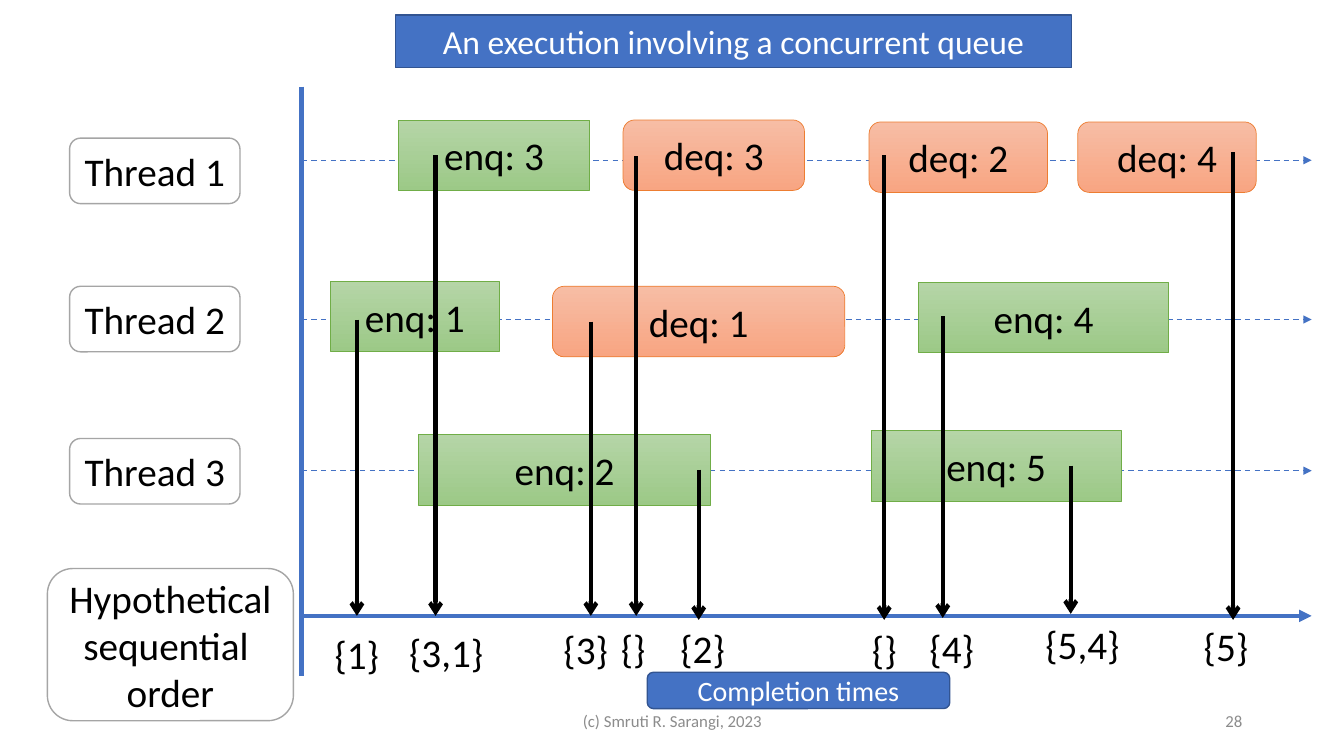
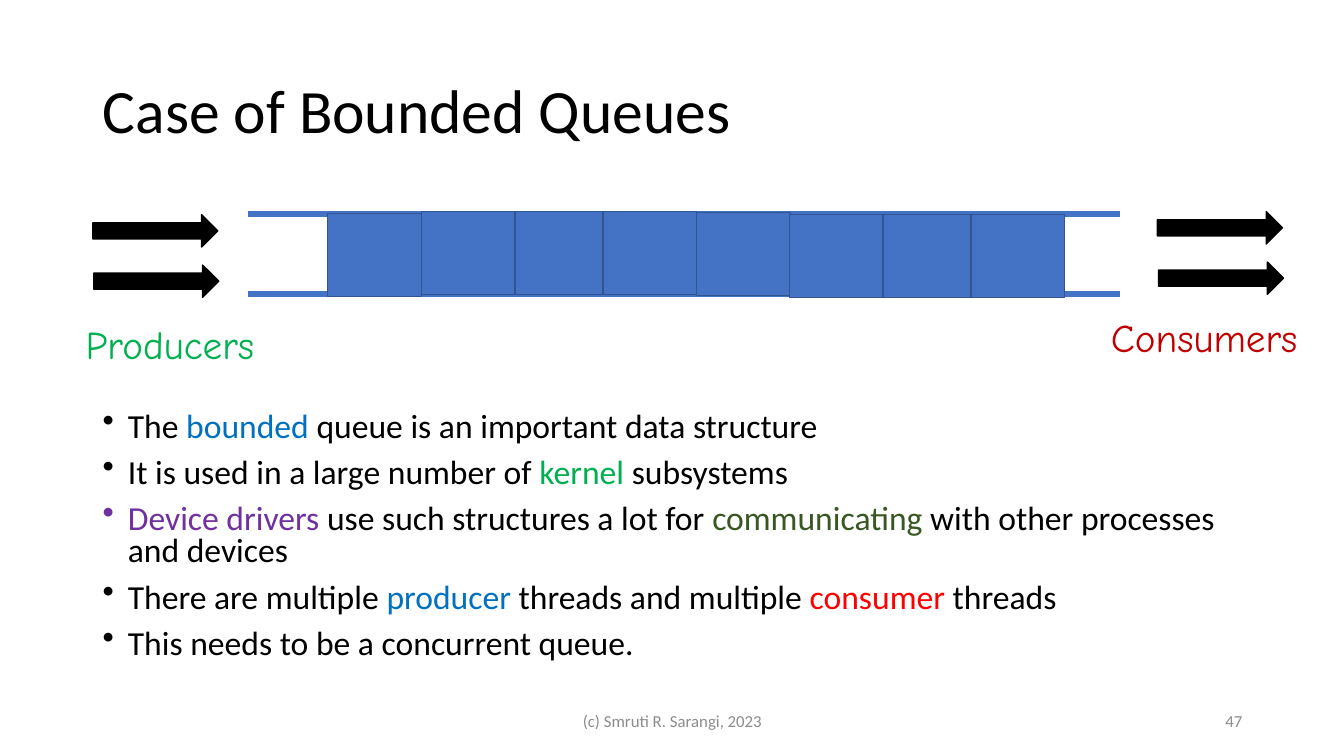
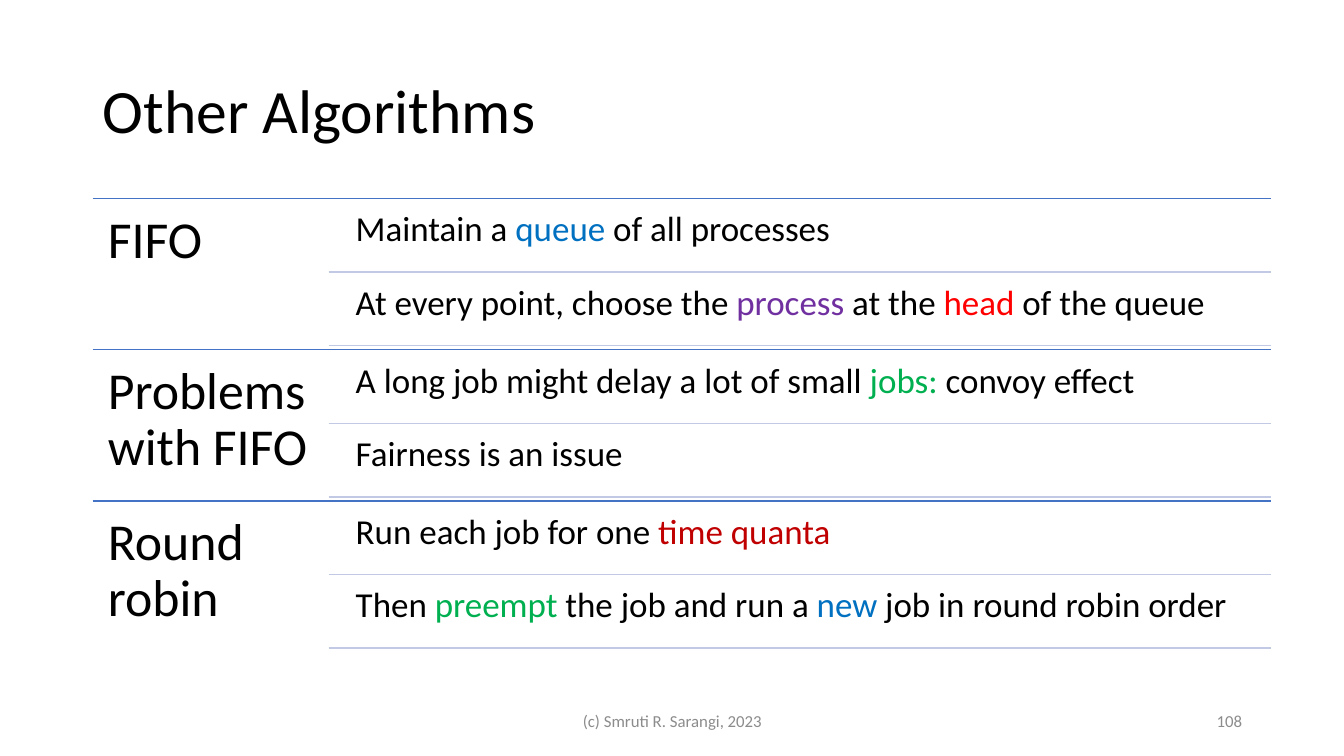
from lxml import etree
from pptx import Presentation
from pptx.dml.color import RGBColor
from pptx.enum.dml import MSO_LINE
from pptx.enum.shapes import MSO_CONNECTOR, MSO_SHAPE
from pptx.enum.text import MSO_ANCHOR, MSO_AUTO_SIZE, PP_ALIGN
from pptx.oxml.ns import qn
from pptx.util import Pt

PX = 9144
LEFT, CENTER, RIGHT = PP_ALIGN.LEFT, PP_ALIGN.CENTER, PP_ALIGN.RIGHT
TOP, MIDDLE = MSO_ANCHOR.TOP, MSO_ANCHOR.MIDDLE
RECT, ROUNDED = MSO_SHAPE.RECTANGLE, MSO_SHAPE.ROUNDED_RECTANGLE
ARROW = MSO_SHAPE.RIGHT_ARROW
STRAIGHT, DASH = MSO_CONNECTOR.STRAIGHT, MSO_LINE.DASH
FIXED = MSO_AUTO_SIZE.NONE
TITLE_ONLY = 5

BODY_FONT, HAND_FONT = "Calibri", "Comic Neue"
BLACK, WHITE, GREY, SILVER = "000000", "FFFFFF", "8C8C8C", "A5A5A5"
ACCENT, ACCENT_EDGE, PALE = "4472C4", "325491", "C1C9E4"
BLUE, GREEN, PURPLE = "0070C0", "00B050", "7030A0"
OLIVE, RED, DARK_RED = "385723", "FF0000", "C00000"
ENQUEUE = (RECT, "B5D5A7", "9CC987", "70AD47")
DEQUEUE = (ROUNDED, "F7BDA5", "F8A582", "ED7D31")
FOOTER = "(c) Smruti R. Sarangi, 2023"


def px(value):
    return round(value * PX)


def colour(hex_text):
    return RGBColor.from_string(hex_text)


def add_bullet(para, indent):
    properties = para._p.get_or_add_pPr()
    properties.set("marL", str(px(indent)))
    properties.set("indent", str(-px(indent)))
    etree.SubElement(properties, qn("a:buChar")).set("char", "•")


def write(box, paras, size, align=LEFT, anchor=TOP, font=BODY_FONT,
          spacing=None, before=0, bullet=0, inset=None, wrap=True):
    frame = box.text_frame
    frame.auto_size = FIXED
    frame.word_wrap = wrap
    frame.vertical_anchor = anchor
    if inset is not None:
        frame.margin_left = frame.margin_right = px(inset)
        frame.margin_top = frame.margin_bottom = px(inset)
    for index, spans in enumerate(paras):
        para = frame.add_paragraph() if index else frame.paragraphs[0]
        if bullet:
            add_bullet(para, bullet)
        para.alignment = align
        if spacing:
            para.line_spacing = spacing
        if index:
            para.space_before = Pt(before)
        for text, tint in spans:
            span = para.add_run()
            span.text = text
            span.font.name = font
            span.font.size = Pt(size)
            span.font.color.rgb = colour(tint)


def add_text(page, area, paras, size, **style):
    box = page.shapes.add_textbox(*map(px, area))
    write(box, paras, size, **style)


def paint(shape, fill, edge, width=1):
    shape.fill.solid()
    shape.fill.fore_color.rgb = colour(fill)
    shape.line.color.rgb = colour(edge)
    shape.line.width = Pt(width)


def add_shape(page, kind, area, fill, edge):
    shape = page.shapes.add_shape(kind, *map(px, area))
    shape.shadow.inherit = False
    paint(shape, fill, edge)
    return shape


def add_label(page, area, lines, size=28, fill=WHITE, edge=SILVER, tint=BLACK):
    shape = add_shape(page, ROUNDED, area, fill, edge)
    write(shape, [[(line, tint)] for line in lines], size,
          align=CENTER, anchor=MIDDLE)


def add_operation(page, area, text, style):
    kind, light, dark, edge = style
    shape = add_shape(page, kind, area, light, edge)
    shape.line.width = Pt(0.5)
    shape.fill.gradient()
    shape.fill.gradient_angle = 270
    for stop, tint in zip(shape.fill.gradient_stops, (light, dark)):
        stop.color.rgb = colour(tint)
    write(shape, [[(text, BLACK)]], 28, align=CENTER, anchor=MIDDLE)


def add_line(page, start, end, tint, width=1, dash=None, head=None):
    line = page.shapes.add_connector(STRAIGHT, *map(px, start + end))
    line.line.color.rgb = colour(tint)
    line.line.width = Pt(width)
    if dash:
        line.line.dash_style = dash
    if head:
        outline = line.line._get_or_add_ln()
        etree.SubElement(outline, qn("a:tailEnd")).set("type", head)
    etree.SubElement(line._element.spPr, qn("a:effectLst"))


def place_title(page, area, text, size=44, tint=BLACK, align=LEFT, spacing=0.9):
    title = page.shapes.title
    title.left, title.top, title.width, title.height = map(px, area)
    write(title, [[(text, tint)]], size, align=align, anchor=MIDDLE,
          spacing=spacing)
    return title


def add_page(deck, number, title=None):
    page = deck.slides.add_slide(deck.slide_layouts[TITLE_ONLY])
    if title:
        place_title(page, (92, 40, 1150, 145), title)
    for area, text, align in (((442, 695, 450, 40), FOOTER, CENTER),
                              ((942, 695, 300, 40), str(number), RIGHT)):
        add_text(page, area, [[(text, GREY)]], 12, align=align, anchor=MIDDLE)
    return page


def build_execution(deck):
    page = add_page(deck, 28)
    banner = place_title(page, (392, 15, 671, 52),
                         "An execution involving a concurrent queue",
                         24, WHITE, CENTER, 1)
    paint(banner, ACCENT, ACCENT_EDGE)

    threads = ((159, 137), (317, 284), (467, 435))
    for number, (axis, top) in enumerate(threads, 1):
        add_line(page, (299, axis), (1301, axis), ACCENT, 1, DASH, "triangle")
        add_label(page, (69, top, 169, 65), [f"Thread {number}"])
    add_line(page, (298, 611), (1301, 611), ACCENT, 3, head="triangle")
    add_line(page, (299, 86), (299, 671), ACCENT, 3)
    add_label(page, (47, 564, 244, 151), ["Hypothetical sequential ", "order"])

    operations = (
        ("enq: 3", 395, 119, 190), ("deq: 3", 618, 119, 180),
        ("enq: 1", 328, 279, 167), ("enq: 2", 415, 431, 290),
        ("deq: 1", 548, 284, 290), ("deq: 4", 1069, 121, 177),
        ("enq: 4", 911, 280, 248), ("enq: 5", 864, 427, 248),
        ("deq: 2", 862, 121, 177),
    )
    for text, left, top, width in operations:
        style = ENQUEUE if text.startswith("enq") else DEQUEUE
        add_operation(page, (left, top, width, 70), text, style)

    completions = (
        (354, 317, 611, "{1}", 322, 620), (432, 154, 611, "{3,1}", 396, 618),
        (586, 319, 611, "{3}", 549, 615), (631, 155, 611, "{}", 606, 614),
        (693, 466, 615, "{2}", 665, 614), (877, 154, 615, "{}", 855, 615),
        (935, 314, 613, "{4}", 912, 614), (1062, 462, 609, "{5,4}", 1027, 610),
        (1223, 151, 615, "{5}", 1184, 612),
    )
    state_widths = {2: 45, 3: 65, 5: 95}
    for x, start, end, state, left, top in completions:
        add_line(page, (x, start), (x, end), BLACK, 3, head="arrow")
        add_text(page, (left, top, state_widths[len(state)], 57),
                 [[(state, BLACK)]], 28, wrap=False)
    add_label(page, (642, 667, 300, 36), ["Completion times"], 20,
              ACCENT, ACCENT_EDGE, WHITE)


def build_bounded_queue(deck):
    page = add_page(deck, 47, "Case of Bounded Queues")
    bullets = [
        [("The ", BLACK), ("bounded", BLUE),
         (" queue is an important data structure", BLACK)],
        [("It is used in a large number of ", BLACK), ("kernel", GREEN),
         (" subsystems", BLACK)],
        [("Device drivers ", PURPLE), ("use such structures a lot for ", BLACK),
         ("communicating", OLIVE), (" with other processes and devices", BLACK)],
        [("There are multiple ", BLACK), ("producer", BLUE),
         (" threads and multiple ", BLACK), ("consumer", RED),
         (" threads", BLACK)],
        [("This needs to be a concurrent queue.", BLACK)],
    ]
    add_text(page, (92, 404, 1150, 279), bullets, 24,
             spacing=0.8, before=10, bullet=25)

    for rail in (212, 292):
        add_line(page, (246, rail), (1111, rail), ACCENT, 4.5)
    cells = ((325, 212), (418, 210), (511, 210), (598, 210),
             (691, 211), (783, 213), (876, 213), (963, 213))
    for left, top in cells:
        add_shape(page, RECT, (left, top, 93, 82), ACCENT, ACCENT_EDGE)

    sides = (("Producers", GREEN, 92, 213, 75, 313),
             ("Consumers", DARK_RED, 1148, 210, 1092, 306))
    for name, tint, left, top, name_left, name_top in sides:
        for row in range(2):
            add_shape(page, ARROW, (left + row, top + 50 * row, 124, 32),
                      BLACK, BLACK)
        add_text(page, (name_left, name_top, 214, 57), [[(name, tint)]], 28,
                 font=HAND_FONT)


def build_algorithms(deck):
    page = add_page(deck, 108, "Other Algorithms")
    sections = (
        ("FIFO", (
            [("Maintain a ", BLACK), ("queue", BLUE),
             (" of all processes", BLACK)],
            [("At every point, choose the ", BLACK), ("process", PURPLE),
             (" at the ", BLACK), ("head", RED), (" of the queue", BLACK)])),
        ("Problems with FIFO", (
            [("A long job might delay a lot of small ", BLACK),
             ("jobs: ", GREEN), ("convoy effect", BLACK)],
            [("Fairness is an issue", BLACK)])),
        ("Round robin", (
            [("Run each job for one ", BLACK), ("time quanta", DARK_RED)],
            [("Then ", BLACK), ("preempt", GREEN),
             (" the job and run a ", BLACK), ("new", BLUE),
             (" job in round robin order", BLACK)])),
    )
    for index, (heading, points) in enumerate(sections):
        top = 197 + 150 * index
        add_line(page, (92, top), (1261, top), ACCENT)
        add_text(page, (92, top, 234, 150), [[(heading, BLACK)]], 37,
                 spacing=0.9, inset=15)
        for row, spans in enumerate(points):
            point_top = top + 3 + 73 * row
            add_text(page, (343, point_top, 918, 70), [spans], 25,
                     spacing=0.9, inset=10)
            add_line(page, (326, point_top + 70), (1261, point_top + 70), PALE)


def main():
    deck = Presentation()
    deck.slide_width, deck.slide_height = px(1333), px(750)
    build_execution(deck)
    build_bounded_queue(deck)
    build_algorithms(deck)
    deck.save("out.pptx")


if __name__ == "__main__":
    main()
